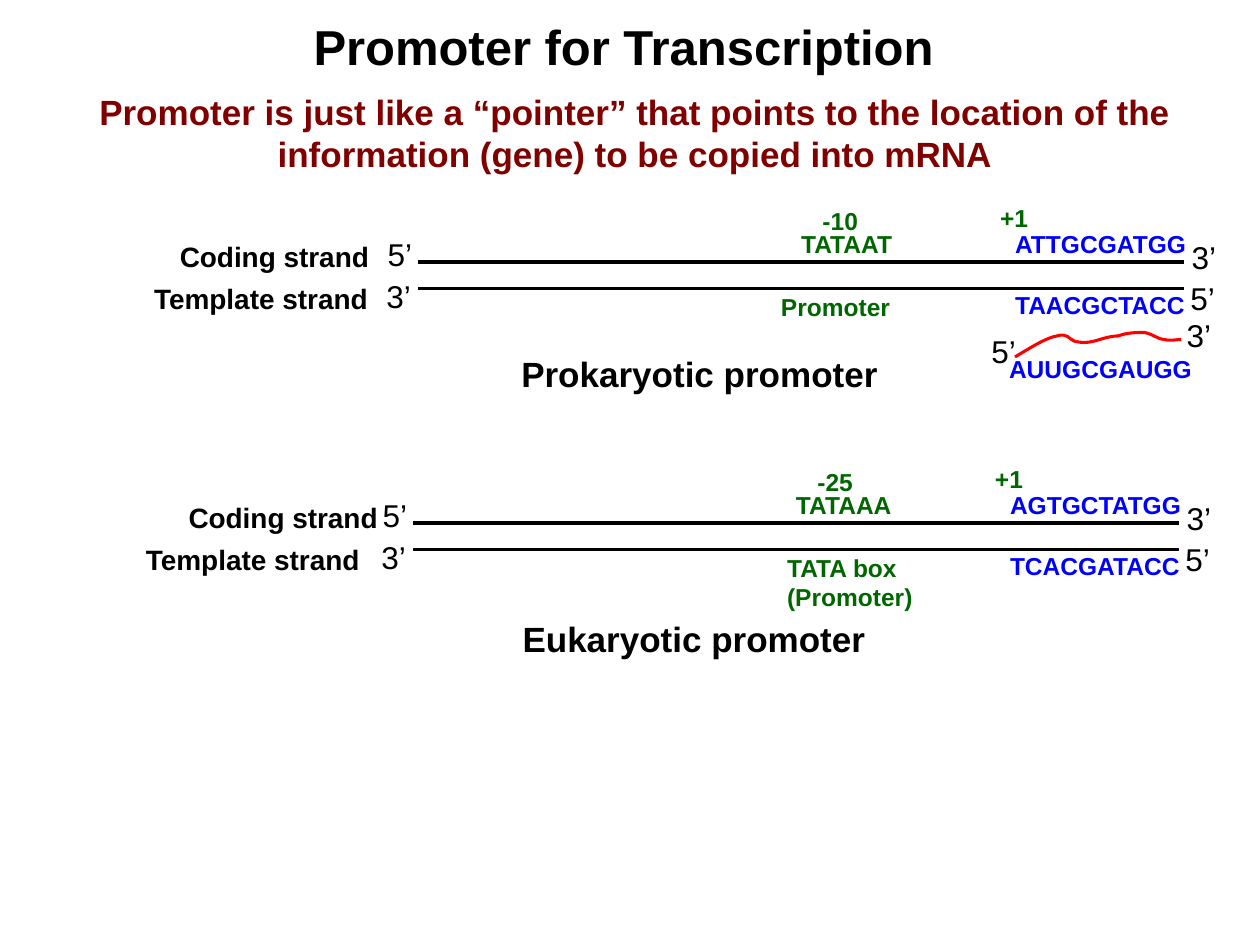
from pptx import Presentation
from pptx.dml.color import RGBColor
from pptx.enum.shapes import MSO_CONNECTOR as Connector
from pptx.enum.text import MSO_AUTO_SIZE as AutoSize, PP_ALIGN as Align
from pptx.oxml.ns import qn
from pptx.util import Pt
from lxml.etree import SubElement

COLORS = {"black": "000000", "maroon": "800000", "green": "006600",
          "blue": "0000FF", "red": "FF0000"}
FONT = "Arial"
HEIGHTS = {14: 24.3, 16: 26.6, 18: 29, 20: 31.5, 28: 41}

STRAND_LENGTH, STRAND_GAP = 437.8, 15.1
END_WIDTH = 28.4
ENDS = [("5’", -24.5, -19.2), ("3’", -25.2, 5),
        ("3’", 434.9, -17.3), ("5’", 434.2, 6)]

GENES = [
    {"origin": (239, 149.8),
     "coding": -143.3, "template": -158,
     "box": "TATAAT", "box width": 70.6, "position": "-10",
     "sequences": ["ATTGCGATGG", "TAACGCTACC"],
     "label": (["Promoter"], 200.2, 78),
     "caption": ("Prokaryotic promoter", 51.8, 48.2, 218.2)},
    {"origin": (236.1, 298.9),
     "coding": -135.4, "template": -159.8,
     "box": "TATAAA", "box width": 72, "position": "-25",
     "sequences": ["AGTGCTATGG", "TCACGATACC"],
     "label": (["TATA box", "(Promoter)"], 206.6, 87),
     "caption": ("Eukaryotic promoter", 55.4, 50.4, 210.2)},
]

TRANSCRIPT = [("5’", 559.4, 186.3, END_WIDTH, 18, "black", False),
              ("3’", 671, 177.1, END_WIDTH, 18, "black", False),
              ("AUUGCGAUGG", 569.5, 198.7, 118.8, 14, "blue", True)]
TRANSCRIPT_CURVE = [
    (580.3, 203.8),
    (589.7, 198), (598.3, 193), (604.1, 191.5),
    (609.8, 190.1), (610.6, 194.4), (614.2, 195.1),
    (617.8, 195.8), (621.4, 195.8), (625, 195.1),
    (629.3, 194.4), (633.6, 192.2), (638.6, 191.5),
    (643.7, 190.1), (650.2, 190.1), (654.5, 190.1),
    (658.8, 190.8), (661.7, 193.7), (664.6, 194.4),
    (668.2, 195.1), (673.2, 194.4), (674.6, 194.4)]


def rgb(name):
    return RGBColor.from_string(COLORS[name])


def add_text(slide, lines, left, top, width, size, color="black", bold=True,
             wrap=False, height=None):
    lines = [lines] if isinstance(lines, str) else lines
    height = height or HEIGHTS[size] + (len(lines) - 1) * size * 1.17
    box = slide.shapes.add_textbox(Pt(left), Pt(top), Pt(width), Pt(height))
    frame = box.text_frame
    frame.word_wrap = wrap
    frame.auto_size = AutoSize.SHAPE_TO_FIT_TEXT
    for index, line in enumerate(lines):
        para = frame.add_paragraph() if index else frame.paragraphs[0]
        para.alignment = Align.CENTER if wrap else Align.LEFT
        span = para.add_run()
        span.text = line
        span.font.name = FONT
        span.font.size = Pt(size)
        span.font.bold = bold
        span.font.color.rgb = rgb(color)


def add_strand(slide, left, top):
    strand = slide.shapes.add_connector(
        Connector.STRAIGHT, Pt(left), Pt(top), Pt(left + STRAND_LENGTH), Pt(top))
    strand.line.color.rgb = rgb("black")
    strand.line.width = Pt(2)
    SubElement(strand.element.spPr, qn("a:effectLst"))


def add_curve(slide, points, color, width):
    (start_x, start_y), *rest = points
    builder = slide.shapes.build_freeform(start_x, start_y, scale=Pt(1))
    builder.add_line_segments(rest, close=False)
    curve = builder.convert_to_shape()
    curve.fill.background()
    curve.line.color.rgb = rgb(color)
    curve.line.width = Pt(width)
    curve.shadow.inherit = False
    segments = list(curve.element.iter(qn("a:lnTo")))
    outline = segments[0].getparent()
    for first in range(0, len(segments), 3):
        bezier = SubElement(outline, qn("a:cubicBezTo"))
        for segment in segments[first:first + 3]:
            bezier.append(segment[0])
            outline.remove(segment)


def add_gene(slide, gene):
    x, y = gene["origin"]
    for row in range(2):
        add_strand(slide, x, y + row * STRAND_GAP)
    for text, dx, dy in ENDS:
        add_text(slide, text, x + dx, y + dy, END_WIDTH, 18, bold=False)
    add_text(slide, "Coding strand", x + gene["coding"], y - 16.6, 122.4, 16)
    add_text(slide, "Template strand", x + gene["template"], y + 7.5, 137.5, 16)
    add_text(slide, "+1", x + 325.4, y - 37.4, 30.4, 14, "green")
    for sequence, dy in zip(gene["sequences"], (-22.3, 12.2)):
        add_text(slide, sequence, x + 334, y + dy, 113.5, 14, "blue")
    add_text(slide, gene["box"], x + 211.7, y - 22.3, gene["box width"], 14, "green")
    add_text(slide, gene["position"], x + 223.9, y - 35.4, 34.6, 14, "green")
    lines, dx, width = gene["label"]
    add_text(slide, lines, x + dx, y + 13.4, width, 14, "green")
    text, dx, dy, width = gene["caption"]
    add_text(slide, text, x + dx, y + dy, width, 20)


def main():
    deck = Presentation()
    deck.slide_width, deck.slide_height = Pt(720), Pt(540)
    page = deck.slides.add_slide(deck.slide_layouts[6])
    add_text(page, "Promoter for Transcription", 172.1, 5.8, 370, 28)
    add_text(page, "Promoter is just like a “pointer” that points to the location "
             "of the information (gene) to be copied into mRNA",
             5.8, 48.2, 714.2, 20, "maroon", wrap=True, height=55.4)
    for gene in GENES:
        add_gene(page, gene)
    add_curve(page, TRANSCRIPT_CURVE, "red", 1.75)
    for entry in TRANSCRIPT:
        add_text(page, *entry)
    deck.save("out.pptx")


if __name__ == "__main__":
    main()
